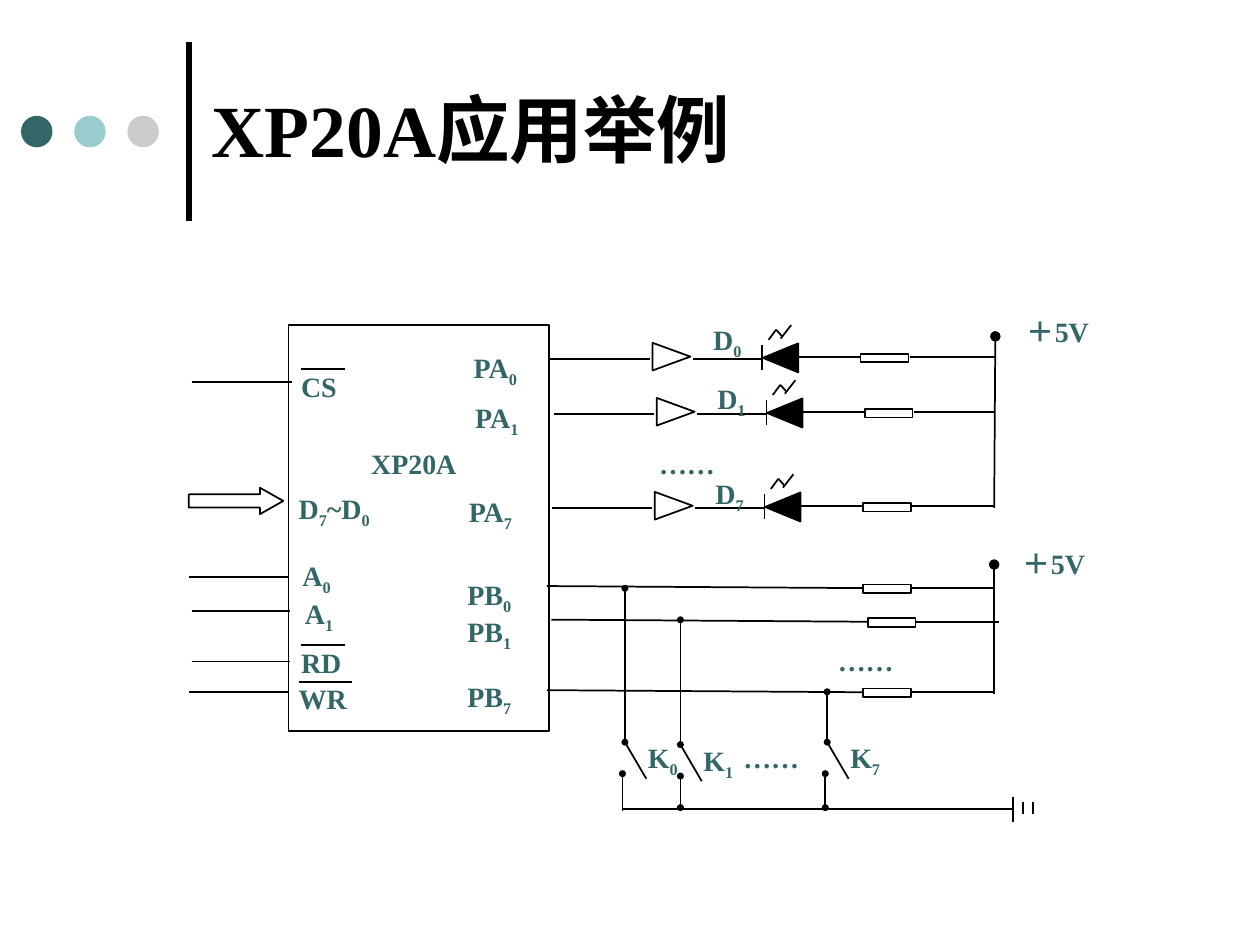
import pptx
import pptx.util
from dataclasses import dataclass
from lxml import etree
from pptx.dml.color import RGBColor
from pptx.enum.shapes import MSO_CONNECTOR, MSO_SHAPE
from pptx.enum.text import MSO_ANCHOR, PP_ALIGN
from pptx.oxml.ns import qn
from pptx.util import Pt


@dataclass(frozen=True)
class Theme:
    """Colours, font and sizes of the slide."""
    ink: str = "000000"
    text: str = "336666"
    white: str = "FFFFFF"
    dots: tuple = ("336666", "99CCCC", "CCCCCC")
    font: str = "Times New Roman"
    title: int = 42
    label: int = 16
    wire: int = 1
    rule: int = 3


T = Theme()


def style(r, size, color):
    """Format one run in the slide's bold face."""
    r.font.name, r.font.size, r.font.bold = T.font, Pt(size), True
    r.font.color.rgb = RGBColor.from_string(color)


def wire(s, x1, y1, x2, y2, head=None, tail=None, width=T.wire):
    """Draw a line, with round ends of the given size where asked."""
    c = s.shapes.add_connector(MSO_CONNECTOR.STRAIGHT, Pt(x1), Pt(y1), Pt(x2), Pt(y2))
    c.line.color.rgb = RGBColor.from_string(T.ink)
    c.line.width = Pt(width)
    ln = c.line._get_or_add_ln()
    for tag, size in (("a:headEnd", head), ("a:tailEnd", tail)):
        if size:
            etree.SubElement(ln, qn(tag), type="oval", w=size, len=size)
    etree.SubElement(c._element.spPr, qn("a:effectLst"))


def shape(s, kind, x, y, w, h, fill=None, outline=True, rotation=0):
    """Draw a preset shape without a shadow."""
    sp = s.shapes.add_shape(kind, Pt(x), Pt(y), Pt(w), Pt(h))
    sp.shadow.inherit = False
    sp.rotation = rotation
    if fill:
        sp.fill.solid()
        sp.fill.fore_color.rgb = RGBColor.from_string(fill)
    else:
        sp.fill.background()
    if outline:
        sp.line.color.rgb = RGBColor.from_string(T.ink)
        sp.line.width = Pt(T.wire)
    else:
        sp.line.fill.background()
    return sp


def label(s, x, y, w, *parts, align=PP_ALIGN.JUSTIFY):
    """Write a label whose every second part is a subscript."""
    tf = s.shapes.add_textbox(Pt(x), Pt(y), Pt(w), Pt(15.1)).text_frame
    tf.margin_left = tf.margin_top = tf.margin_right = tf.margin_bottom = 0
    tf.word_wrap = True
    p = tf.paragraphs[0]
    p.alignment = align
    for i, part in enumerate(parts):
        r = p.add_run()
        r.text = part
        style(r, T.label, T.text)
        if i % 2:
            r._r.get_or_add_rPr().set("baseline", "-25000")
    return p


def heading(s, x, y, w, h):
    """Place the title with its rule and three dots."""
    wire(s, 108, 126, 108, 23.8, width=T.rule)
    for i, color in enumerate(T.dots):
        shape(s, MSO_SHAPE.OVAL, 12 + 30.4 * i, 66.2, 18, 18, color, False)
    sp = s.shapes.title
    sp.left, sp.top, sp.width, sp.height = Pt(x), Pt(y), Pt(w), Pt(h)
    tf = sp.text_frame
    tf.text = "XP20A应用举例"
    tf.vertical_anchor = MSO_ANCHOR.MIDDLE
    p = tf.paragraphs[0]
    p.alignment = PP_ALIGN.LEFT
    style(p.runs[0], T.title, T.ink)


def chip(s, x, y, w, h):
    """Draw the chip with its pin names and input leads."""
    shape(s, MSO_SHAPE.RECTANGLE, x, y, w, h)
    p = label(s, x + 40.3, y + 72, 62.6, "XP20A", align=PP_ALIGN.CENTER)
    p.line_spacing = 0.88
    for dx, dy, *parts in ((7.2, 25.2, "CS"), (5.8, 95, "D", "7", "~D", "0"),
                           (7.9, 133.2, "A", "0"), (9.4, 154.8, "A", "1"),
                           (7.2, 182.9, "RD"), (5.8, 203.8, "WR"),
                           (105.8, 14.4, "PA", "0"), (106.6, 43.2, "PA", "1"),
                           (103, 96.5, "PA", "7"), (102.2, 144, "PB", "0"),
                           (102.2, 165.6, "PB", "1"), (102.2, 202.3, "PB", "7")):
        label(s, x + dx, y + dy, 61 if len(parts) > 2 else 39, *parts)
    for dx, dy, length in ((7.2, 25.2, 25.2), (7.2, 182.9, 25.2), (5.8, 203.8, 30.2)):
        wire(s, x + dx, y + dy, x + dx + length, y + dy)
    for start, end, dy in ((-55.4, 2.2, 32.4), (-57, 0, 144), (-55.4, 0.7, 163.4),
                           (-55.4, 0.7, 192.2), (-57, 0, 209.5)):
        wire(s, x + start, y + dy, x + end, y + dy)
    bus = shape(s, MSO_SHAPE.RIGHT_ARROW, x - 57, y + 92.9, 54, 15.1)
    bus.adjustments[0], bus.adjustments[1] = 0.5, 0.885


def resistor(s, x, y):
    """Draw a resistor."""
    shape(s, MSO_SHAPE.RECTANGLE, x, y, 27.4, 5, T.white)


def led_channel(s, x, y, rail, index, rise):
    """Draw a buffer, a LED and a resistor along one output."""
    wire(s, x, y, x + 57.6, y)
    shape(s, MSO_SHAPE.ISOSCELES_TRIANGLE, x + 61.9, y - 12, 15.8, 21.6, rotation=90)
    wire(s, x + 82.1, y, x + 121.7, y)
    wire(s, x + 121.7, y - 7.8, x + 121.7, y + 6.6)
    shape(s, MSO_SHAPE.ISOSCELES_TRIANGLE, x + 123.8, y - 10.6, 16.6, 20.2, T.ink, rotation=270)
    wire(s, x + 141.8, y - 1, x + 179.3, y - 1)
    resistor(s, x + 177.8, y - 2.9)
    wire(s, x + 205.9, y - 1, rail, y - 1)
    for x1, y1, x2, y2 in ((125.3, 10.8, 129.6, 16.6), (129.6, 16.6, 133.2, 12.6),
                           (132.2, 11.5, 138.2, 19.2)):
        wire(s, x + x1, y - y1, x + x2, y - y2)
    label(s, x + 93.6, y - rise, 21.6, "D", index)


def pull_up(s, x, y):
    """Draw one input line with its resistor."""
    wire(s, x, y, x + 182.2, y + 1.2)
    resistor(s, x + 180.7, y - 0.9)
    wire(s, x + 208.1, y + 1.2, x + 255.6, y + 1.2)


def key(s, x, top, contact, foot, end, tail, index):
    """Draw one switch from its input line down to ground."""
    wire(s, x, top, x, contact, "sm", "sm")
    wire(s, x, contact, x + 12.2, contact + 20.9)
    wire(s, foot, contact + 18, foot, end, "sm", tail)
    label(s, x + 13.2, contact - 0.8, 21.6, "K", index)


def supply(s, x, top, bottom, lean, text_x, text_y):
    """Draw a supply rail with its voltage."""
    wire(s, x - lean, bottom, x, top, tail="med")
    label(s, text_x, text_y, 48.2, "＋5V")


def ground(s, x, y, w):
    """Draw the common line and the ground plates."""
    wire(s, x, y, x + w, y)
    for dx, up, down in ((0, 7.2, 7.2), (5.8, 4.3, 2.9), (11.5, 4.3, 2.9)):
        wire(s, x + w + dx, y - up, x + w + dx, y + down)


def main():
    """Build the slide."""
    prs = pptx.Presentation()
    prs.slide_width, prs.slide_height = Pt(720), Pt(540)
    s = prs.slides.add_slide(prs.slide_layouts[5])
    heading(s, 113.8, 31.7, 599.8, 82.8)
    chip(s, 164.9, 185.8, 149, 231.8)
    for x, y, index, rise in ((313.9, 205, "0", 20.7), (316.3, 236.5, "1", 18.3),
                              (315.2, 290.2, "7", 18)):
        led_channel(s, x, y, 568.6, index, rise)
    supply(s, 568.8, 192.2, 290.2, 0.7, 586.8, 180)
    for x, y in ((312.5, 334.9), (315.1, 354.1), (312.5, 394.4)):
        pull_up(s, x, y)
    supply(s, 568.1, 322.6, 396.7, 0, 584.6, 312.5)
    key(s, 357.1, 336.2, 424.1, 355.7, 463.7, None, "0")
    key(s, 388.8, 354.2, 425.5, 388.8, 461.5, "sm", "1")
    key(s, 472.7, 395.3, 424.1, 471.6, 461.5, "sm", "7")
    ground(s, 355.7, 462.4, 223.2)
    for x, y in ((376.6, 254.9), (478.8, 367.9), (424.8, 423.4)):
        label(s, x, y, 48.2, "……")
    prs.save("out.pptx")


if __name__ == "__main__":
    main()
